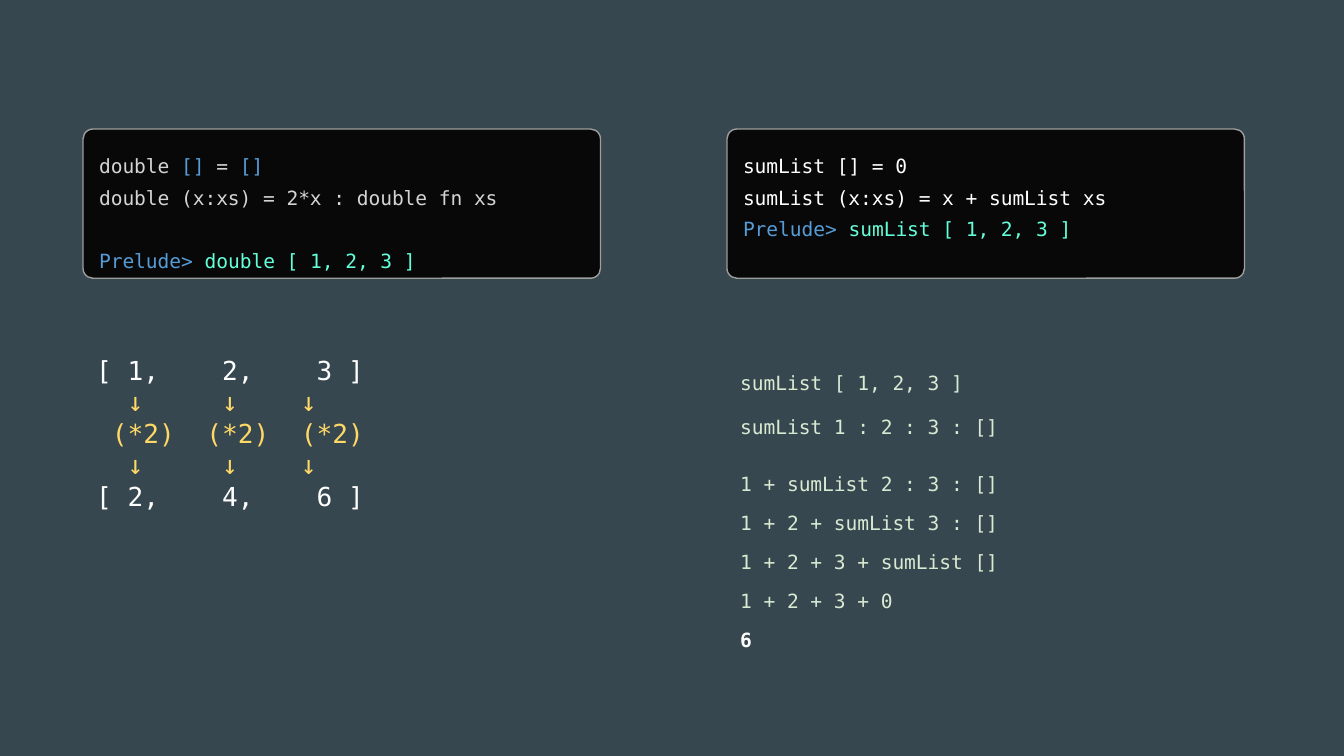
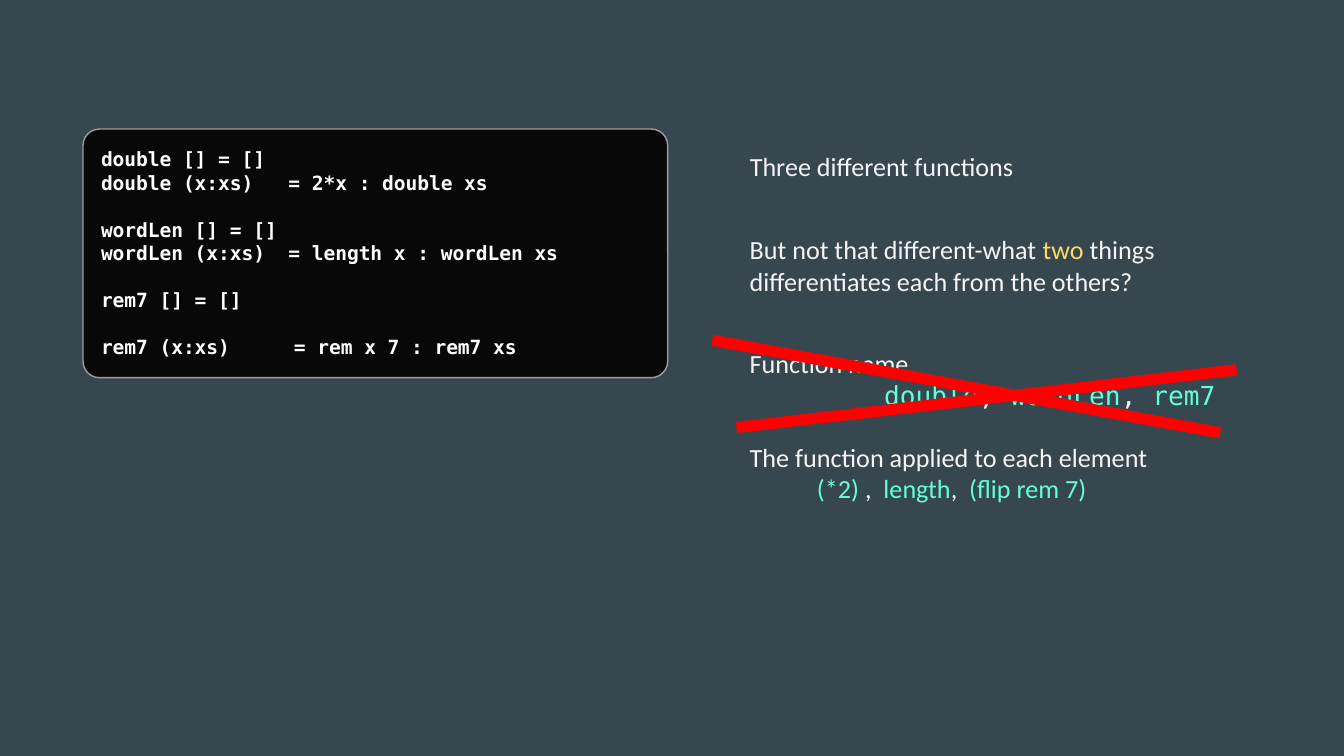
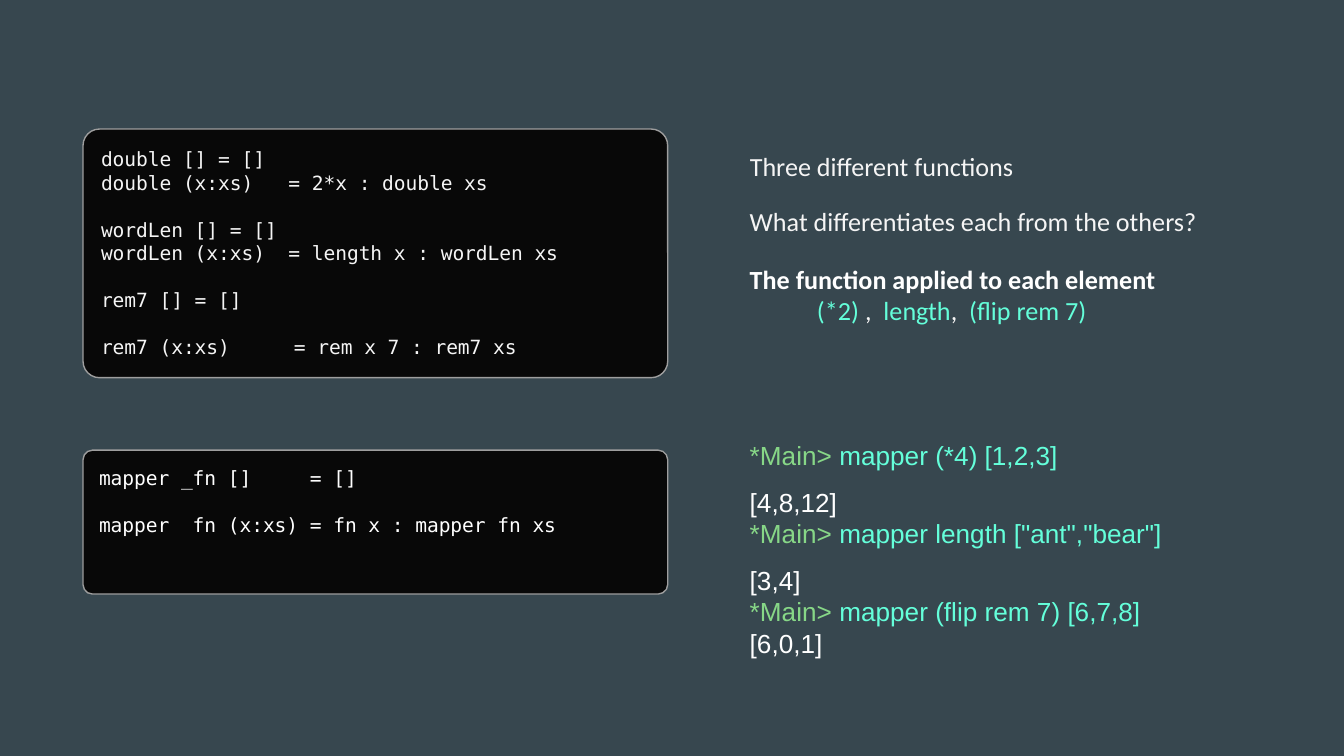
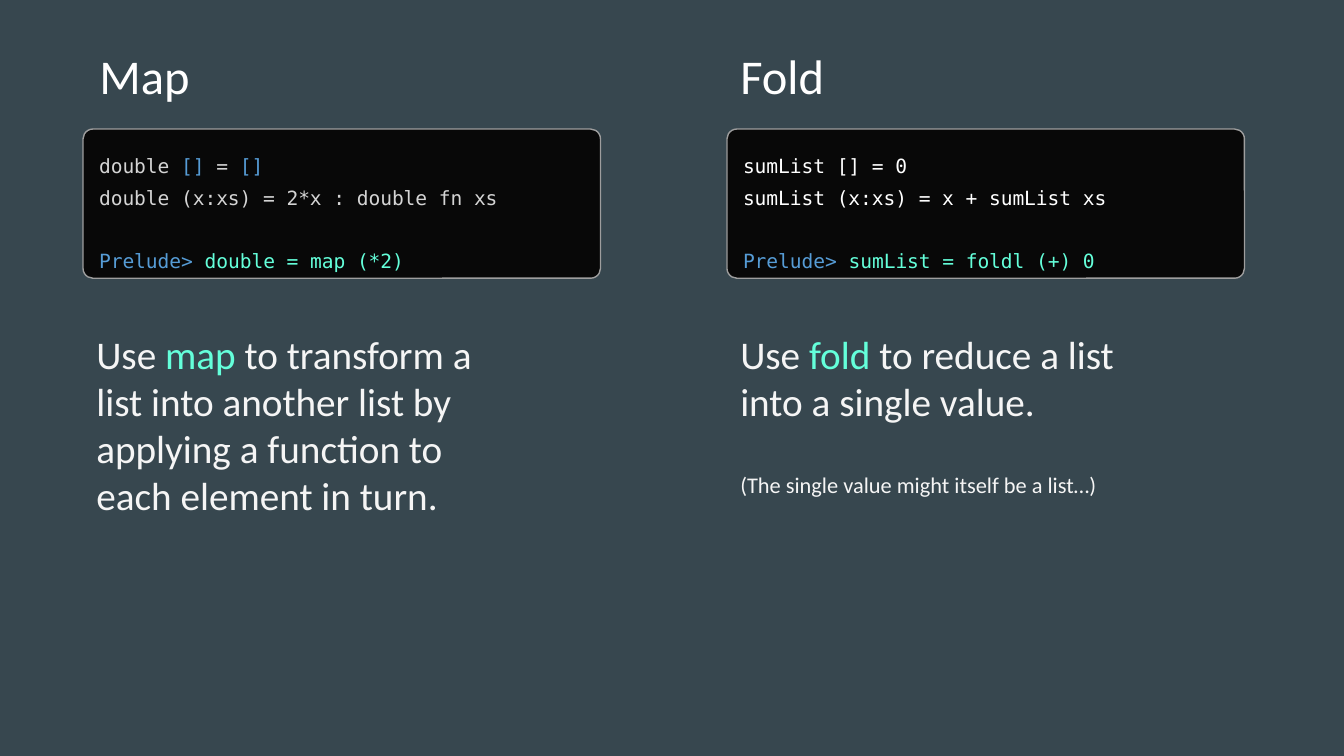
"""Build four slides on mapping and folding lists in Haskell."""
from dataclasses import dataclass
from typing import NamedTuple, Optional

from lxml import etree
from pptx import Presentation
from pptx.dml.color import RGBColor
from pptx.enum.shapes import MSO_CONNECTOR, MSO_SHAPE
from pptx.enum.text import MSO_ANCHOR, MSO_AUTO_SIZE, PP_ALIGN
from pptx.oxml.ns import qn
from pptx.util import Cm, Pt

STRAIGHT = MSO_CONNECTOR.STRAIGHT
ROUNDED = MSO_SHAPE.ROUNDED_RECTANGLE
TOP = MSO_ANCHOR.TOP
FIXED = MSO_AUTO_SIZE.NONE
LEFT = PP_ALIGN.LEFT

SLATE = RGBColor(0x37, 0x47, 0x4F)
BLACK = RGBColor(0x08, 0x08, 0x08)
BORDER = RGBColor(0x9E, 0x9E, 0x9E)
WHITE = RGBColor(0xFF, 0xFF, 0xFF)
OFF_WHITE = RGBColor(0xF5, 0xF5, 0xF5)
GREY = RGBColor(0xD4, 0xD4, 0xD4)
BLUE = RGBColor(0x56, 0x9C, 0xD6)
AQUA = RGBColor(0x64, 0xFF, 0xDA)
YELLOW = RGBColor(0xFF, 0xD9, 0x66)
PALE_GREEN = RGBColor(0xD9, 0xEA, 0xD3)
PROMPT_GREEN = RGBColor(0x87, 0xD7, 0x87)
RED = RGBColor(0xFF, 0x00, 0x00)

MONO, SANS, CONSOLE = "DejaVu Sans Mono", "Calibri", "Arial"
CODE_SIZE, NOTE_SIZE = 10.5, 14
CODE_SPACING = 1.36
CODE_GAP, WIDE_GAP = 12.6, 17

TITLE_ONLY, COMPARISON, BLANK = 5, 4, 6
LEFT_X, RIGHT_X, NOTE_X = 1.57, 13.74, 13.92
CODE_Y = 2.44
NOTE_W, NOTE_H = 10.49, 1.12


class Box(NamedTuple):
    """A place on the slide, in centimetres."""

    left: float
    top: float
    width: float
    height: float


class Span(NamedTuple):
    """A piece of text with its own colour or font."""

    text: str
    color: Optional[RGBColor] = None
    font: Optional[str] = None


@dataclass
class Line:
    """A paragraph, with the gap above it and its indents."""

    spans: list
    gap: float = 0
    spacing: Optional[float] = None
    indent: float = 0
    size: Optional[float] = None
    bold: Optional[bool] = None


def line(text: str, color: Optional[RGBColor] = None, **layout) -> Line:
    """Return a line made of one span."""
    return Line([Span(text, color)], **layout)


def write(shape, lines: list, *, font: str = SANS, size: float = NOTE_SIZE,
          color: RGBColor = OFF_WHITE, bold: bool = False, spacing: float = 1.0) -> None:
    """Fill a shape with formatted lines."""
    frame = shape.text_frame
    frame.word_wrap = True
    frame.auto_size = FIXED
    frame.vertical_anchor = TOP
    frame.margin_left = frame.margin_right = Cm(0.25)
    frame.margin_top = frame.margin_bottom = Cm(0.25)
    for index, item in enumerate(lines):
        paragraph = frame.add_paragraph() if index else frame.paragraphs[0]
        properties = paragraph._p.get_or_add_pPr()
        properties.set("marL", "0")
        properties.set("indent", str(int(Cm(item.indent))))
        etree.SubElement(properties, qn("a:buNone"))
        paragraph.alignment = LEFT
        paragraph.line_spacing = item.spacing or spacing
        paragraph.space_before = Pt(item.gap)
        paragraph.space_after = Pt(0)
        for span in item.spans:
            run = paragraph.add_run()
            run.text = span.text
            run.font.name = span.font or font
            run.font.size = Pt(item.size or size)
            run.font.bold = bold if item.bold is None else item.bold
            run.font.color.rgb = span.color or color


def place(box: Box) -> tuple:
    """Return the box as lengths."""
    return tuple(Cm(value) for value in box)


def add_text(slide, box: Box, lines: list, **style) -> None:
    """Add a text box."""
    write(slide.shapes.add_textbox(*place(box)), lines, **style)


def fill_placeholder(slide, index: int, box: Box, lines: list, **style) -> None:
    """Move a placeholder of the layout and write in it."""
    holder = next(p for p in slide.placeholders if p.placeholder_format.idx == index)
    holder.left, holder.top, holder.width, holder.height = place(box)
    write(holder, lines, **style)


def add_code(slide, box: Box, lines: list, **style) -> None:
    """Add a black rounded panel of code."""
    panel = slide.shapes.add_shape(ROUNDED, *place(box))
    panel.adjustments[0] = 0.066
    panel.shadow.inherit = False
    panel.fill.solid()
    panel.fill.fore_color.rgb = BLACK
    panel.line.color.rgb = BORDER
    panel.line.width = Pt(0.75)
    write(panel, lines, **{"font": MONO, "size": CODE_SIZE, "color": WHITE, **style})


def add_strike(slide, *ends: float) -> None:
    """Draw a thick red line between two points."""
    strike = slide.shapes.add_connector(STRAIGHT, *(Cm(end) for end in ends))
    strike.line.color.rgb = RED
    strike.line.width = Pt(6)
    etree.SubElement(strike._element.spPr, qn("a:effectLst"))


def prompt(command: str, gap: float = 0) -> Line:
    """Return a line typed at the Prelude prompt."""
    return Line([Span("Prelude> ", BLUE), Span(command, AQUA)], gap)


def add_double_and_sum(slide, double_call: str, sum_call: str, sum_gap: float) -> None:
    """Add the panels that define double and sumList."""
    double_lines = [
        Line([Span("double "), Span("[]", BLUE), Span(" = "), Span("[]", BLUE)]),
        line("double (x:xs) = 2*x : double fn xs"),
        prompt(double_call, WIDE_GAP),
    ]
    sum_lines = [
        line("sumList [] = 0"),
        line("sumList (x:xs) = x + sumList xs"),
        prompt(sum_call, sum_gap),
    ]
    for left, lines, color in ((LEFT_X, double_lines, GREY), (RIGHT_X, sum_lines, WHITE)):
        add_code(slide, Box(left, CODE_Y, 9.78, 2.82), lines,
                 color=color, spacing=CODE_SPACING)


def add_three_functions(slide, **style) -> None:
    """Add the heading and the panel with three similar functions."""
    fill_placeholder(slide, 0, Box(NOTE_X, 2.59, NOTE_W, NOTE_H),
                     [line("Three different functions")])
    add_code(slide, Box(LEFT_X, CODE_Y, 11.05, 4.7), [
        line("double [] = []"),
        line("double (x:xs)   = 2*x : double xs"),
        line("wordLen [] = []", gap=CODE_GAP),
        line("wordLen (x:xs)  = length x : wordLen xs"),
        line("rem7 [] = []", gap=CODE_GAP),
        line("rem7 (x:xs)\t     = rem x 7 : rem7 xs", gap=CODE_GAP),
    ], **style)


def applied_functions() -> Line:
    """Return the line that names the function each one applies."""
    return Line([Span("(*2)", AQUA), Span(" ,  "), Span("length", AQUA),
                 Span(",  "), Span("(flip rem 7)", AQUA)], indent=1.27)


def build_evaluation(slide) -> None:
    """Show how double and sumList are evaluated."""
    add_double_and_sum(slide, "double [ 1, 2, 3 ]", "sumList [ 1, 2, 3 ]", 0)
    add_text(slide, Box(LEFT_X, 6.45, 8.33, 4.11), [
        line("[ 1,    2,    3 ]", WHITE),
        line("  ↓     ↓    ↓"),
        line(" (*2)  (*2)  (*2)"),
        line("  ↓     ↓    ↓"),
        line("[ 2,    4,    6 ]", WHITE),
    ], font=MONO, color=YELLOW)
    reductions = ["1 + sumList 2 : 3 : []", "1 + 2 + sumList 3 : []",
                  "1 + 2 + 3 + sumList []", "1 + 2 + 3 + 0"]
    steps = [(6.6, "sumList [ 1, 2, 3 ]"), (7.44, "sumList 1 : 2 : 3 : []")]
    steps += [(8.51 + 0.74 * row, text) for row, text in enumerate(reductions)]
    rows = [(top, line(text)) for top, text in steps]
    rows.append((11.47, line("6", WHITE, bold=True)))
    for top, step in rows:
        add_text(slide, Box(RIGHT_X, top, 8.33, 0.97), [step], font=MONO,
                 size=CODE_SIZE, color=PALE_GREEN, spacing=CODE_SPACING)


def build_differences(slide) -> None:
    """Ask what differs between the functions and strike out their names."""
    add_three_functions(slide, bold=True)
    add_text(slide, Box(NOTE_X, 4.17, NOTE_W, 1.7), [
        Line([Span("But not that different-what "), Span("two", YELLOW),
              Span(" things differentiates each from the others?")]),
    ])
    add_text(slide, Box(NOTE_X, 6.32, NOTE_W, 3.51), [
        line("Function name"),
        Line([Span("double", AQUA, MONO), Span(", ", font=MONO),
              Span("wordLen", AQUA, MONO), Span(", ", font=MONO),
              Span("rem7", AQUA, MONO)], indent=2.54),
        line("The function applied to each element", gap=16.5),
        applied_functions(),
    ])
    add_strike(slide, 13.46, 6.43, 23.06, 8.18)
    add_strike(slide, 13.92, 8.08, 23.37, 6.99)


def build_mapper(slide) -> None:
    """Generalise the functions as mapper."""
    add_three_functions(slide, color=OFF_WHITE)
    add_text(slide, Box(NOTE_X, 3.63, NOTE_W, NOTE_H),
             [line("What differentiates each from the others?")])
    add_text(slide, Box(NOTE_X, 4.72, NOTE_W, 1.7), [
        line("The function applied to each element", WHITE, bold=True),
        applied_functions(),
    ])
    add_code(slide, Box(LEFT_X, 8.51, 11.05, 2.72), [
        line("mapper _fn []     = []"),
        line("mapper  fn (x:xs) = fn x : mapper fn xs", gap=CODE_GAP),
    ])
    session = []
    for command, result, spacing in (
        ("mapper (*4) [1,2,3]", "[4,8,12]", 1.5),
        ('mapper length ["ant","bear"]', "[3,4]", 1.5),
        ("mapper (flip rem 7) [6,7,8]", "[6,0,1]", 1.0),
    ):
        session.append(Line([Span("*Main> ", PROMPT_GREEN), Span(command, AQUA)]))
        session.append(line(result, spacing=spacing))
    add_text(slide, Box(NOTE_X, 8.05, 10.16, 5.89), session, font=CONSOLE, color=WHITE)


def build_map_and_fold(slide) -> None:
    """Sum up map and fold side by side."""
    add_double_and_sum(slide, "double = map (*2)", "sumList = foldl (+) 0", WIDE_GAP)
    map_lines = [Line([
        Span("Use "), Span("map ", AQUA),
        Span("to transform a list into another list by applying a function "
             "to each element in turn."),
    ])]
    fold_lines = [
        Line([Span("Use "), Span("fold ", AQUA),
              Span("to reduce a list into a single value.")]),
        line("(The single value might itself be a list…)", gap=25, size=12),
    ]
    for heading_index, body_index, heading, heading_x, body_x, lines in (
        (0, 2, "Map", 1.63, LEFT_X, map_lines),
        (3, 4, "Fold", RIGHT_X, RIGHT_X, fold_lines),
    ):
        fill_placeholder(slide, heading_index, Box(heading_x, 0.61, 8.31, 1.63),
                         [line(heading)], size=26, color=WHITE)
        fill_placeholder(slide, body_index, Box(body_x, 5.99, 8.31, 4.11), lines, size=21)


def main() -> None:
    """Build and save the presentation."""
    deck = Presentation()
    deck.slide_width, deck.slide_height = Cm(25.4), Cm(14.29)
    background = deck.slide_master.background.fill
    background.solid()
    background.fore_color.rgb = SLATE
    for layout, build in ((BLANK, build_evaluation), (TITLE_ONLY, build_differences),
                          (TITLE_ONLY, build_mapper), (COMPARISON, build_map_and_fold)):
        slide = deck.slides.add_slide(deck.slide_layouts[layout])
        build(slide)
        for holder in list(slide.placeholders):
            if not holder.text_frame.text:
                holder._element.getparent().remove(holder._element)
    deck.save("out.pptx")


if __name__ == "__main__":
    main()
